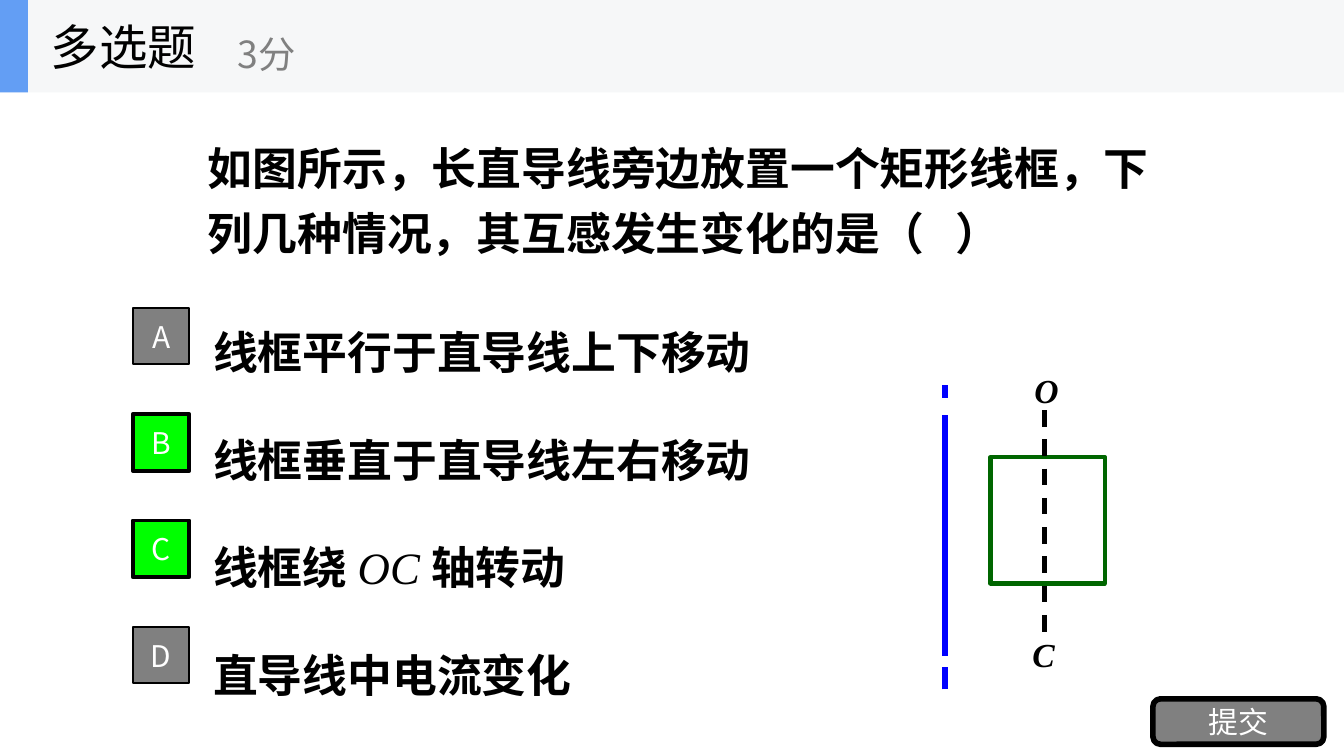
from lxml.etree import SubElement
from pptx import Presentation
from pptx.dml.color import RGBColor
from pptx.enum.dml import MSO_LINE
from pptx.enum.shapes import MSO_CONNECTOR, MSO_SHAPE
from pptx.enum.text import MSO_ANCHOR, PP_ALIGN
from pptx.oxml.ns import qn
from pptx.util import Cm, Pt

COLORS = {
    "black": "000000", "white": "FFFFFF", "gray": "808080", "right": "00FF00",
    "wire": "0000FF", "frame": "006600", "band": "F6F7F8", "accent": "639EF4",
}
SANS, SERIF = "Noto Sans CJK SC", "Times New Roman"


def color(name):
    return RGBColor.from_string(COLORS[name])


def style(para, size, face=SANS, ink="black", bold=False, italic=False):
    font = para.font
    font.name, font.size, font.bold, font.italic = face, Pt(size), bold, italic
    font.color.rgb = color(ink)
    props = para._p.get_or_add_pPr().find(qn("a:defRPr"))
    SubElement(props, qn("a:ea"), typeface=SANS)


def add_text(slide, box, lines, size, spacing=None, anchor=MSO_ANCHOR.TOP, **look):
    """Each line is a string or a list of (text, is symbol) runs."""
    frame = slide.shapes.add_textbox(*map(Cm, box)).text_frame
    frame.word_wrap = True
    frame.vertical_anchor = anchor
    for i, line in enumerate(lines):
        para = frame.paragraphs[0] if i == 0 else frame.add_paragraph()
        if spacing:
            para.line_spacing = spacing
        style(para, size, **look)
        if isinstance(line, str):
            para.text = line
            continue
        for text, symbol in line:
            run = para.add_run()
            run.text = text
            if symbol:
                run.font.bold, run.font.italic = False, True


def add_box(slide, box, fill=None, line=None, width=1, label=None,
            kind=MSO_SHAPE.RECTANGLE):
    shape = slide.shapes.add_shape(kind, *map(Cm, box))
    shape.shadow.inherit = False
    if fill:
        shape.fill.solid()
        shape.fill.fore_color.rgb = color(fill)
    else:
        shape.fill.background()
    if line:
        shape.line.color.rgb = color(line)
        shape.line.width = Pt(width)
    else:
        shape.line.fill.background()
    if label:
        shape.text_frame.vertical_anchor = MSO_ANCHOR.MIDDLE
        para = shape.text_frame.paragraphs[0]
        para.text = label
        para.alignment = PP_ALIGN.CENTER
        style(para, 16, ink="white")


def add_rule(slide, x, start, end, ink, width, dash=False):
    """Draw an upright line."""
    rule = slide.shapes.add_connector(
        MSO_CONNECTOR.STRAIGHT, Cm(x), Cm(start), Cm(x), Cm(end))
    rule.line.color.rgb = color(ink)
    rule.line.width = Pt(width)
    if dash:
        rule.line.dash_style = MSO_LINE.DASH
    SubElement(rule._element.spPr, qn("a:effectLst"))


def add_badges(slide, left, top, side, step, answers):
    for i, letter in enumerate("ABCD"):
        right = letter in answers
        add_box(slide, (left, top + i * step, side, side),
                "right" if right else "gray", "black", 2 if right else 1, letter)


def add_figure(slide, left, top):
    """Draw the long wire and the frame with its axis OC."""
    wire, axis = left, left + 1.88
    add_rule(slide, wire, top + 1.4, top + 5.54, "wire", 3)
    add_box(slide, (left + 0.86, top + 1.78, 2.16, 2.39), line="frame", width=2.25)
    add_rule(slide, axis, top + 0.89, top + 5.28, "black", 2.25, dash=True)
    for name, x, y, w in (("O", 1.44, 0, 0.86), ("C", 1.4, 5, 0.71)):
        add_text(slide, (left + x, top + y, w, 1.02), [name], 18,
                 face=SERIF, bold=True, italic=True)
    for start, end in ((1.4, 0.41), (6.17, 5.28)):
        add_rule(slide, wire, top + start, top + end, "wire", 3, dash=True)


def add_header(slide, left, top, width, height):
    add_box(slide, (left, top, width, height), "band")
    add_box(slide, (left, top, 0.53, height), "accent")
    middle = MSO_ANCHOR.MIDDLE
    add_text(slide, (left + 0.71, top, 5.28, height), ["多选题"], 26, anchor=middle)
    add_text(slide, (left + 4.24, top + 0.3, 6.35, height - 0.33), ["3分"], 20,
             anchor=middle, ink="gray")


def main():
    deck = Presentation()
    deck.slide_width, deck.slide_height = Cm(25.4), Cm(14.29)
    slide = deck.slides.add_slide(deck.slide_layouts[6])

    add_badges(slide, 2.51, 5.82, 1.07, 2.01, "BC")
    add_box(slide, (21.79, 13.21, 3.23, 0.86), "gray", "black", 3, "提交",
            MSO_SHAPE.ROUNDED_RECTANGLE)
    add_figure(slide, 17.86, 6.86)
    add_text(slide, (3.68, 2.34, 18.34, 2.72),
             ["如图所示，长直导线旁边放置一个矩形线框，下列几种情况，其互感发生变化的是（   ）"],
             24, 1.2, face=SERIF, bold=True)
    add_text(slide, (3.78, 5, 13.41, 8.46), [
        "线框平行于直导线上下移动",
        "线框垂直于直导线左右移动",
        [("线框绕 ", False), ("OC ", True), ("轴转动", False)],
        "直导线中电流变化",
    ], 24, 2.0, face=SERIF, bold=True)
    add_header(slide, 0, 0, 25.4, 1.75)
    deck.save("out.pptx")


if __name__ == "__main__":
    main()
